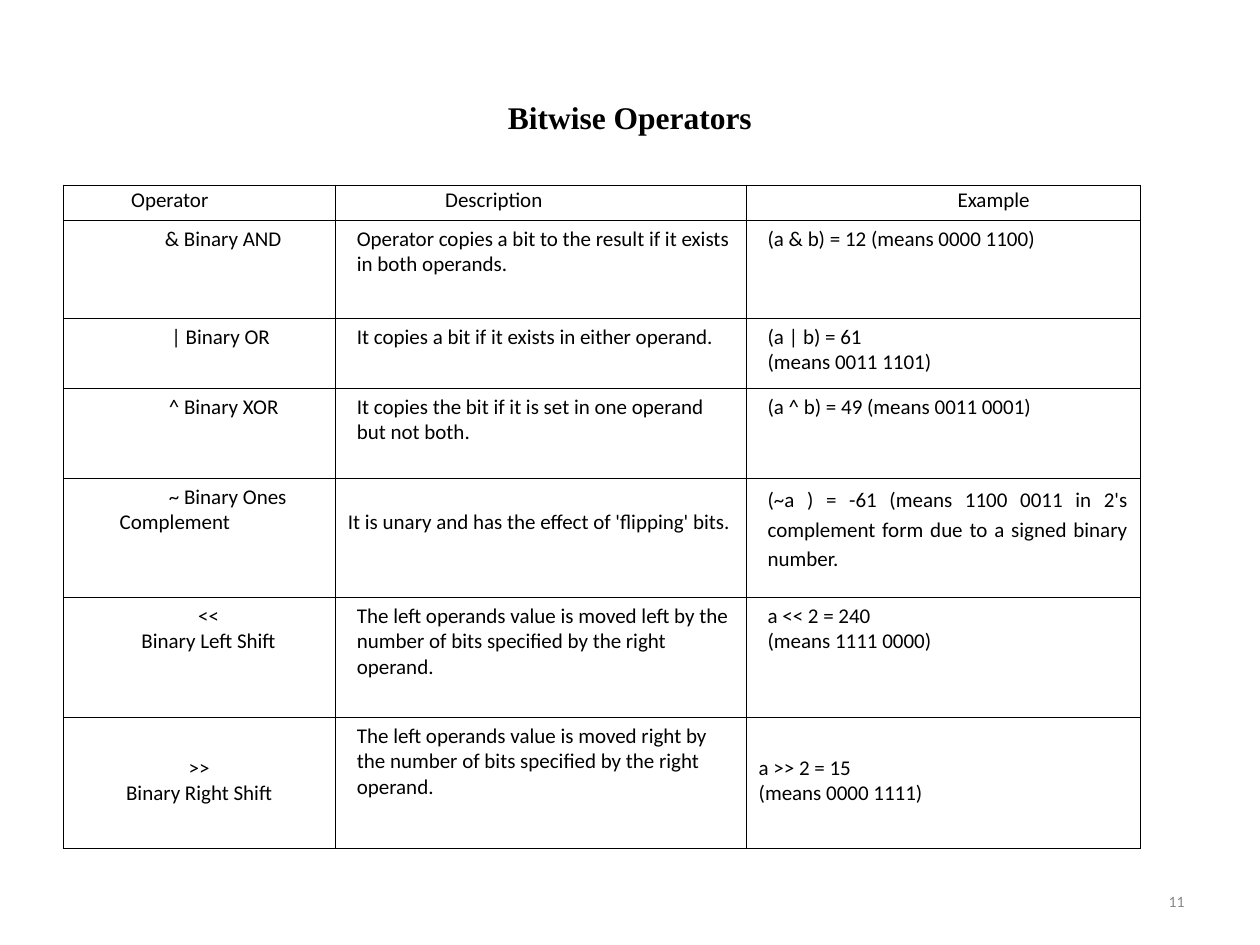
from pptx import Presentation
from pptx.dml.color import RGBColor
from pptx.enum.text import MSO_ANCHOR as Anchor, PP_ALIGN as Align
from pptx.oxml import parse_xml
from pptx.oxml.ns import nsdecls
from pptx.util import Cm, Pt

BLACK = RGBColor(0x00, 0x00, 0x00)
GRAY = RGBColor(0x89, 0x89, 0x89)

COLUMN_WIDTHS = [5.49, 8.28, 7.95]
ROW_HEIGHTS = [0.7, 1.98, 1.41, 1.81, 2.4, 2.42, 2.64]

# Cell formats: left and first-line indents and top margin in cm
BODY = {"left": 0.18}
LOWERED = {"top": 0.77}

# Each row holds three cells: lines of text, format
ROWS = [
    [(["Operator"], {"left": 1.12, "spacing": Pt(12.7)}),
     (["Description"], {"left": 1.96, "spacing": Pt(12.7)}),
     (["Example"], {"left": 2.03, "spacing": Pt(12.7), "align": Align.CENTER})],
    [(["& Binary AND"], {"left": 0.89, "first": 0.91}),
     (["Operator copies a bit to the result if it exists in both operands."], BODY),
     (["(a & b) = 12 (means 0000 1100)"], BODY)],
    [(["| Binary OR"], {"left": 1.04, "first": 0.89}),
     (["It copies a bit if it exists in either operand."], BODY),
     (["(a | b) = 61", "(means 0011 1101)"], BODY)],
    [(["^ Binary XOR"], {"left": 0.91, "first": 0.97}),
     (["It copies the bit if it is set in one operand but not both."], BODY),
     (["(a ^ b) = 49 (means 0011 0001)"], BODY)],
    [(["~ Binary Ones Complement"], {"left": 0.89, "first": 0.99}),
     (["It is unary and has the effect of 'flipping' bits."], {"top": 0.64}),
     (["(~a ) = -61 (means 1100 0011 in 2's complement form "
       "due to a signed binary number."],
      {**BODY, "spacing": 1.15, "align": Align.JUSTIFY})],
    [(["<<", "Binary Left Shift"], {"left": 0.38, "align": Align.CENTER}),
     (["The left operands value is moved left by the number of bits "
       "specified by the right operand."], BODY),
     (["a << 2 = 240", "(means 1111 0000)"], BODY)],
    [([">>", "Binary Right Shift"], {**LOWERED, "align": Align.CENTER}),
     (["The left operands value is moved right by the number of bits "
       "specified by the right operand."], BODY),
     (["a >> 2 = 15", "(means 0000 1111)"], LOWERED)],
]


def style_font(run, size, name="Calibri", color=BLACK, bold=False):
    for attribute, value in {"size": Pt(size), "name": name, "bold": bold}.items():
        setattr(run.font, attribute, value)
    run.font.color.rgb = color


def add_label(slide, box, text, align, **font):
    frame = slide.shapes.add_textbox(*map(Cm, box)).text_frame
    frame.word_wrap = True
    frame.vertical_anchor = Anchor.MIDDLE
    paragraph = frame.paragraphs[0]
    paragraph.alignment = align
    run = paragraph.add_run()
    run.text = text
    style_font(run, **font)


def add_borders(cell):
    properties = cell._tc.get_or_add_tcPr()
    for side in ("lnL", "lnR", "lnT", "lnB"):
        properties.append(parse_xml(
            f'<a:{side} {nsdecls("a")} w="{Pt(0.45)}"><a:solidFill>'
            f'<a:srgbClr val="{BLACK}"/></a:solidFill></a:{side}>'))


def fill_cell(cell, lines, layout):
    add_borders(cell)
    cell.fill.background()
    if "top" in layout:
        cell.margin_top = Cm(layout["top"])
    cell.text_frame.text = "\n".join(lines)
    for paragraph in cell.text_frame.paragraphs:
        paragraph.alignment = layout.get("align", Align.LEFT)
        paragraph.line_spacing = layout.get("spacing")
        indents = paragraph._p.get_or_add_pPr()
        indents.set("marL", str(Cm(layout.get("left", 0))))
        indents.set("indent", str(Cm(layout.get("first", 0))))
        style_font(paragraph.runs[0], 12)


def add_operator_table(slide):
    table = slide.shapes.add_table(
        len(ROWS), len(COLUMN_WIDTHS), Cm(1.27), Cm(3.73),
        Cm(sum(COLUMN_WIDTHS)), Cm(sum(ROW_HEIGHTS))).table
    table.first_row = table.horz_banding = False
    for column, width in zip(table.columns, COLUMN_WIDTHS):
        column.width = Cm(width)
    for row, height, contents in zip(table.rows, ROW_HEIGHTS, ROWS):
        row.height = Cm(height)
        for cell, (lines, layout) in zip(row.cells, contents):
            fill_cell(cell, lines, layout)


def main():
    deck = Presentation()
    deck.slide_width, deck.slide_height = Cm(25.4), Cm(19.05)
    slide = deck.slides.add_slide(deck.slide_layouts[6])
    add_label(slide, (1.27, 0.76, 22.86, 3.18), "Bitwise Operators", Align.CENTER,
              size=18, name="Times New Roman", bold=True)
    add_operator_table(slide)
    add_label(slide, (18.21, 17.65, 5.92, 1.02), "11", Align.RIGHT,
              size=9, color=GRAY)
    deck.save("out.pptx")


if __name__ == "__main__":
    main()
